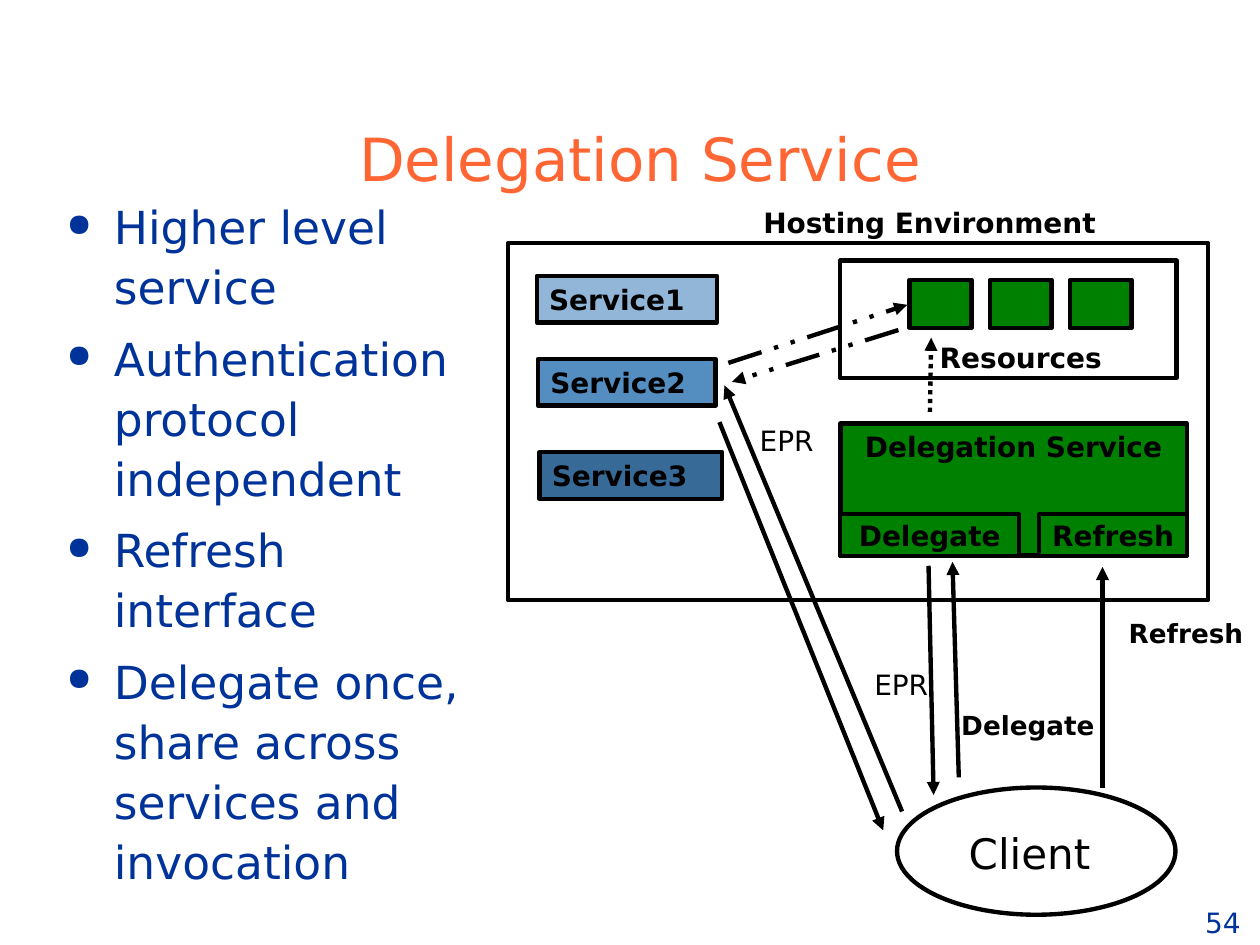
import dataclasses
import typing

import lxml.etree
import pptx
import pptx.dml.color
import pptx.enum.dml
import pptx.enum.shapes
import pptx.enum.text
import pptx.oxml.ns
import pptx.util

Pt = pptx.util.Pt
qn = pptx.oxml.ns.qn
Align = pptx.enum.text.PP_ALIGN
Anchor = pptx.enum.text.MSO_ANCHOR
Dash = pptx.enum.dml.MSO_LINE
Preset = pptx.enum.shapes.MSO_SHAPE

BLACK = "000000"
BLUE = "003399"
GREEN = "008000"
ORANGE = "FF6633"


@dataclasses.dataclass
class Box:
    left: float
    top: float
    width: float
    height: float
    text: str = ""
    fill: typing.Optional[str] = None
    line_width: float = 2.5
    preset: Preset = Preset.RECTANGLE
    align: Align = Align.LEFT
    anchor: Anchor = Anchor.TOP
    wrap: bool = True


@dataclasses.dataclass
class Label:
    left: float
    top: float
    width: float
    height: float
    text: str
    size: float = 16
    bold: bool = True


@dataclasses.dataclass
class Arrow:
    start: tuple[float, float]
    end: tuple[float, float]
    dash: Dash = Dash.SOLID


def color(value: str) -> pptx.dml.color.RGBColor:
    return pptx.dml.color.RGBColor.from_string(value)


def add_bullet(paragraph, tint: str) -> None:
    properties = paragraph._p.get_or_add_pPr()
    properties.set("marL", str(Pt(27)))
    properties.set("indent", str(Pt(-27)))
    bullet_color = lxml.etree.SubElement(properties, qn("a:buClr"))
    lxml.etree.SubElement(bullet_color, qn("a:srgbClr"), val=tint)
    lxml.etree.SubElement(properties, qn("a:buSzPct"), val="70000")
    lxml.etree.SubElement(properties, qn("a:buChar"), char="●")


def write_text(shape, text: str, *, size: float = 16, tint: str = BLACK,
               bold: bool = False, align: Align = Align.LEFT,
               anchor: Anchor = Anchor.TOP, wrap: bool = True,
               bulleted: bool = False) -> None:
    frame = shape.text_frame
    frame.word_wrap = wrap
    frame.vertical_anchor = anchor
    for index, line in enumerate(text.split("\n")):
        paragraph = frame.add_paragraph() if index else frame.paragraphs[0]
        if bulleted:
            add_bullet(paragraph, tint)
            paragraph.line_spacing = 1.1
            if index:
                paragraph.space_before = Pt(6.5)
        paragraph.alignment = align
        run = paragraph.add_run()
        run.text = line
        run.font.name = "DejaVu Sans"
        run.font.size = Pt(size)
        run.font.bold = bold
        run.font.color.rgb = color(tint)


def add_text(slide, left: float, top: float, width: float, height: float,
             text: str, **text_format) -> None:
    shape = slide.shapes.add_textbox(Pt(left), Pt(top), Pt(width), Pt(height))
    write_text(shape, text, **text_format)


def draw_box(slide, box: Box) -> None:
    shape = slide.shapes.add_shape(
        box.preset, Pt(box.left), Pt(box.top), Pt(box.width), Pt(box.height))
    shape.shadow.inherit = False
    if box.fill:
        shape.fill.solid()
        shape.fill.fore_color.rgb = color(box.fill)
    else:
        shape.fill.background()
    shape.line.color.rgb = color(BLACK)
    shape.line.width = Pt(box.line_width)
    if box.text:
        write_text(shape, box.text, bold=True, align=box.align,
                   anchor=box.anchor, wrap=box.wrap)


def draw_label(slide, label: Label) -> None:
    add_text(slide, label.left, label.top, label.width, label.height,
             label.text, size=label.size, bold=label.bold)


def draw_arrow(slide, arrow: Arrow) -> None:
    connector = slide.shapes.add_connector(
        pptx.enum.shapes.MSO_CONNECTOR.STRAIGHT,
        *(Pt(value) for value in arrow.start + arrow.end))
    connector.line.color.rgb = color(BLACK)
    connector.line.width = Pt(2.5)
    connector.line.dash_style = arrow.dash
    lxml.etree.SubElement(
        connector.line._get_or_add_ln(), qn("a:tailEnd"), type="triangle")
    lxml.etree.SubElement(connector._element.spPr, qn("a:effectLst"))


FRAMES = [
    Box(512.6, 450, 159.1, 72.7, preset=Preset.OVAL),
    Box(290.2, 139, 400.3, 203.8),
    Box(480.2, 149, 192.2, 67),
]
SERVICES = [
    Box(306.7, 157.7, 103, 26.6, "Service1", "91B6D7"),
    Box(307.4, 205.2, 101.5, 26.6, "Service2", "548DC0"),
    Box(308.2, 258.5, 104.4, 26.6, "Service3", "386A98"),
    Box(480.2, 241.9, 198, 75.6, "Delegation Service", GREEN,
        align=Align.CENTER),
]
RESOURCES = [Box(519.8 + 45.75 * index, 160, 35.3, 27.4, fill=GREEN)
             for index in range(3)]
OPERATIONS = [
    Box(left, 293.8, width, 23.8, text, GREEN, 2.25, align=Align.CENTER,
        anchor=Anchor.MIDDLE, wrap=False)
    for left, width, text in [(480.2, 102.2, "Delegate"),
                              (594, 84.2, "Refresh")]
]
ARROWS = [
    Arrow((547.9, 444.2), (544.3, 321.1)),
    Arrow((531.4, 235.4), (532.1, 193)),
    Arrow((515.5, 463.7), (414, 220.3)),
    Arrow((416.2, 207.4), (518.4, 174.2), Dash.DASH_DOT_DOT),
    Arrow((513.4, 188.6), (418.3, 218.2), Dash.DASH_DOT_DOT),
    Arrow((411.1, 241.2), (504.7, 474.5)),
    Arrow((530.6, 323.3), (533.5, 454.3)),
    Arrow((630, 450), (630, 324)),
]
ARROWS[1].dash = Dash.ROUND_DOT
LABELS = [
    Label(546.5, 469.4, 105.1, 36, "Client", 24, False),
    Label(429.1, 113.8, 275.8, 26.6, "Hosting Environment"),
    Label(529.9, 190.8, 108.7, 26.6, "Resources"),
    Label(542.2, 401.8, 96.5, 25.2, "Delegate", 15),
    Label(492.5, 378, 56.9, 26.6, "EPR", bold=False),
    Label(427, 238.3, 56.9, 26.6, "EPR", bold=False),
    Label(637.9, 349.2, 82.1, 25.2, "Refresh", 15),
]
POINTS = [
    "Higher level service",
    "Authentication protocol independent",
    "Refresh interface",
    "Delegate once, share across services and invocation",
]


def main() -> None:
    presentation = pptx.Presentation()
    presentation.slide_width = Pt(720)
    presentation.slide_height = Pt(540)
    slide = presentation.slides.add_slide(presentation.slide_layouts[6])
    add_text(slide, 652.3, 511.2, 92.9, 28.8, "54", tint=BLUE,
             align=Align.CENTER, anchor=Anchor.BOTTOM, wrap=False)
    add_text(slide, 59.8, 54, 612, 59.8, "Delegation Service", size=34,
             tint=ORANGE, align=Align.CENTER, anchor=Anchor.BOTTOM)
    add_text(slide, 31, 107.3, 256.3, 414, "\n".join(POINTS), size=26,
             tint=BLUE, bulleted=True)
    for box in FRAMES + SERVICES + RESOURCES + OPERATIONS:
        draw_box(slide, box)
    for arrow in ARROWS:
        draw_arrow(slide, arrow)
    for label in LABELS:
        draw_label(slide, label)
    presentation.save("out.pptx")


if __name__ == "__main__":
    main()
